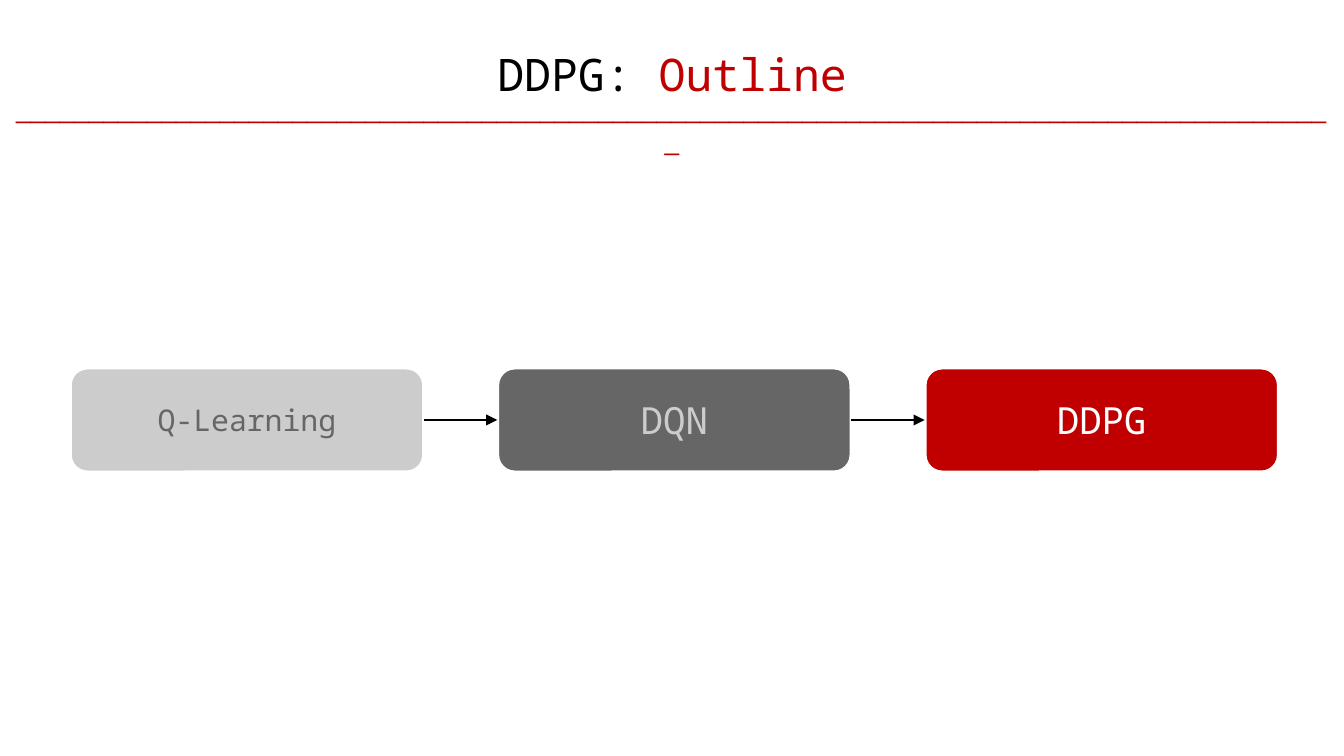
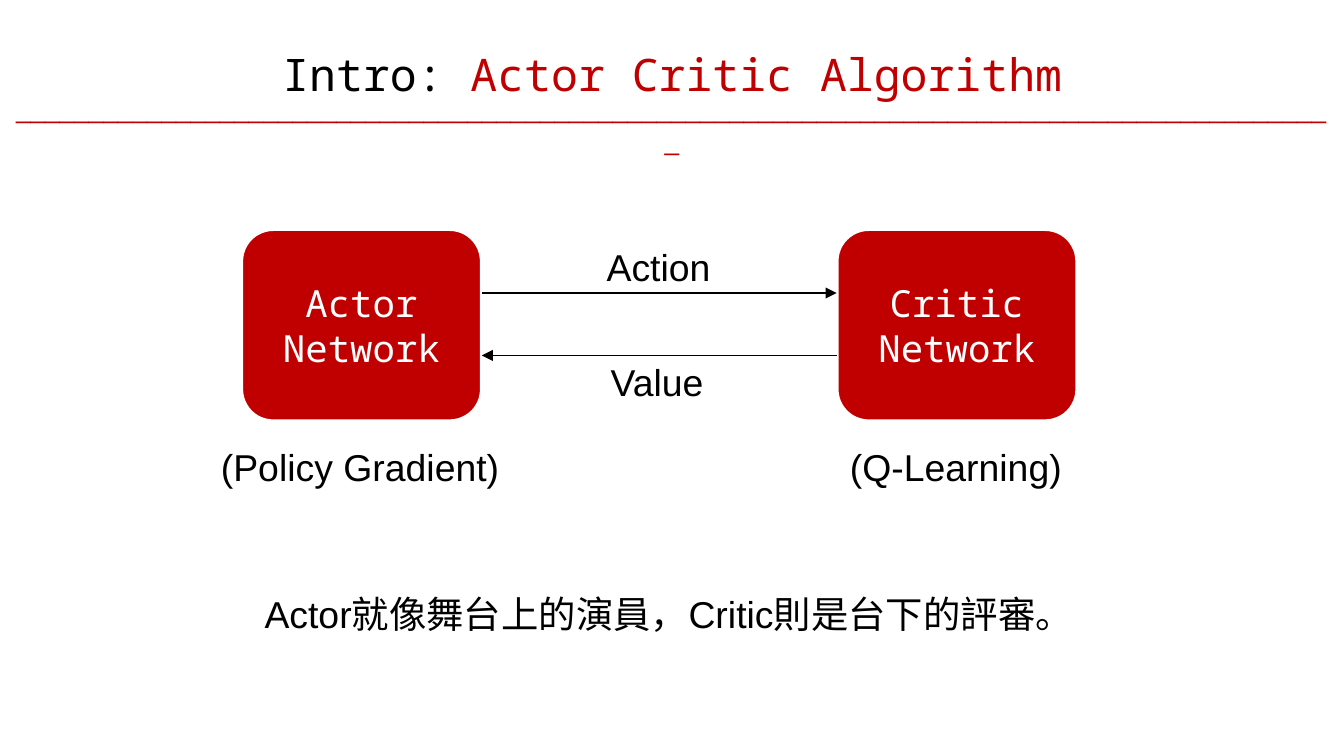
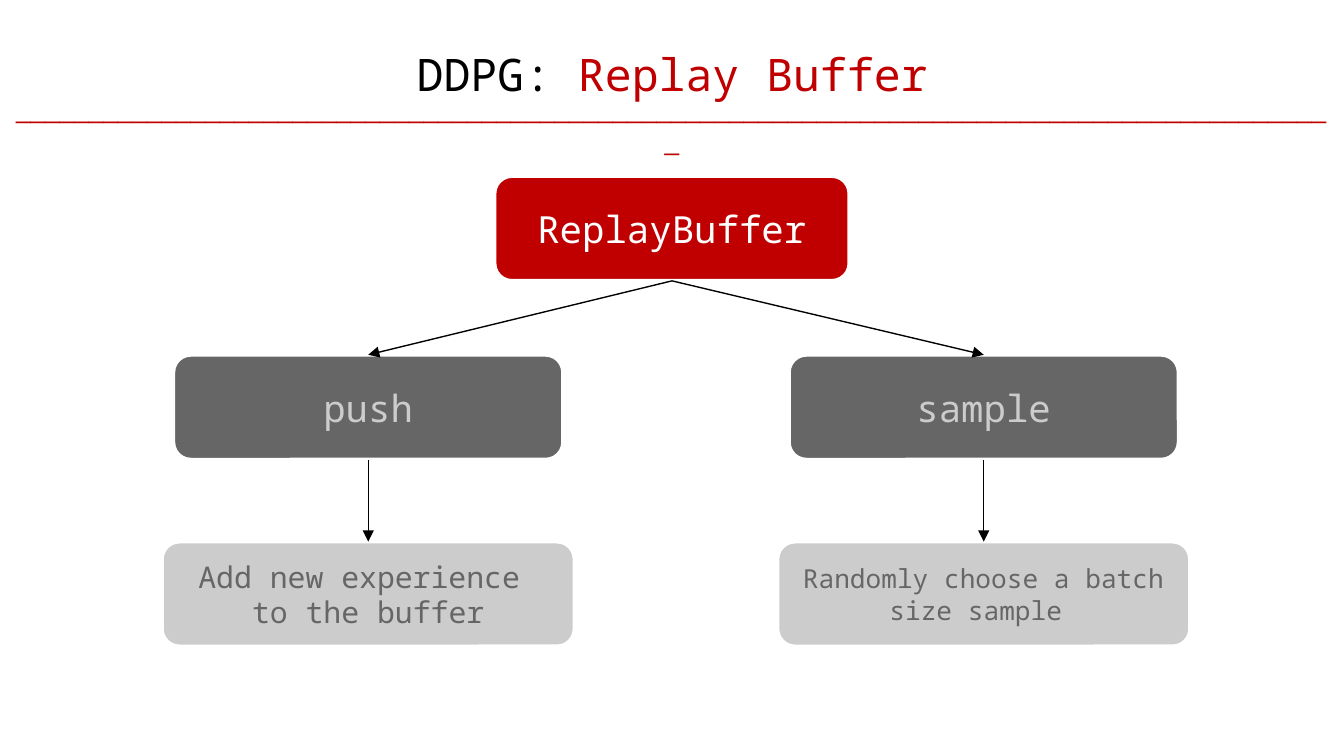
from dataclasses import dataclass
from typing import Any

from lxml.etree import SubElement
from pptx import Presentation
from pptx.dml.color import RGBColor
from pptx.enum.shapes import MSO_CONNECTOR as Connector, MSO_SHAPE as Preset
from pptx.enum.text import MSO_ANCHOR as Anchor, MSO_AUTO_SIZE as AutoSize, PP_ALIGN as Align
from pptx.oxml.ns import qn
from pptx.util import Emu, Pt

EMU_PER_PX = 4572
PAGE_WIDTH, PAGE_HEIGHT = 2000, 1125
MONO, SANS, CJK = "Noto Sans Mono", "Arial", "Noto Sans CJK SC"
COLORS = {
    "black": "000000",
    "white": "FFFFFF",
    "red": "C00000",
    "dark": "666666",
    "light": "CCCCCC",
}
TEXT_ON_FILL = {"red": "white", "dark": "light", "light": "dark"}


@dataclass(frozen=True)
class Span:
    text: str
    size: int = 20
    font: str = SANS
    color: str = "black"


@dataclass(frozen=True)
class Frame:
    left: int
    top: int
    width: int
    height: int

    @property
    def right(self) -> int:
        return self.left + self.width

    @property
    def bottom(self) -> int:
        return self.top + self.height

    @property
    def center(self) -> int:
        return self.left + self.width // 2

    @property
    def middle(self) -> int:
        return self.top + self.height // 2

    def lengths(self) -> list[Emu]:
        return [px(value) for value in (self.left, self.top, self.width, self.height)]


@dataclass(frozen=True)
class Node:
    frame: Frame
    text: str
    fill: str
    size: int = 20


def px(value: int) -> Emu:
    return Emu(value * EMU_PER_PX)


def rgb(name: str) -> RGBColor:
    return RGBColor.from_string(COLORS[name])


def apply_format(target: Any, values: dict[str, Any]) -> None:
    for name, value in values.items():
        setattr(target, name, value)


def add_spans(para: Any, spans: list[Span]) -> None:
    for span in spans:
        run = para.add_run()
        run.text = span.text
        apply_format(run.font, {"size": Pt(span.size), "name": span.font})
        run.font.color.rgb = rgb(span.color)
        if span.font == CJK:
            SubElement(run.font._element, qn("a:ea"), typeface=CJK)


def add_text(page: Any, frame: Frame, spans: list[Span],
             align: Align = Align.LEFT, wrap: bool = False) -> None:
    text_frame = page.shapes.add_textbox(*frame.lengths()).text_frame
    apply_format(text_frame, {"word_wrap": wrap, "auto_size": AutoSize.SHAPE_TO_FIT_TEXT})
    para = text_frame.paragraphs[0]
    para.alignment = align
    para._p.get_or_add_pPr().set("hangingPunct", "0")
    add_spans(para, spans)


def add_node(page: Any, node: Node) -> None:
    box = page.shapes.add_shape(Preset.ROUNDED_RECTANGLE, *node.frame.lengths())
    box.shadow.inherit = False
    box.fill.solid()
    box.fill.fore_color.rgb = rgb(node.fill)
    box.line.color.rgb = rgb("white")
    box.line.width = Pt(2)
    apply_format(box.text_frame, {"word_wrap": True, "vertical_anchor": Anchor.MIDDLE})
    for index, text in enumerate(node.text.split("\n")):
        para = box.text_frame.add_paragraph() if index else box.text_frame.paragraphs[0]
        para.alignment = Align.CENTER
        add_spans(para, [Span(text, node.size, MONO, TEXT_ON_FILL[node.fill])])


def add_arrow(page: Any, start: tuple[int, int], end: tuple[int, int]) -> None:
    arrow = page.shapes.add_connector(Connector.STRAIGHT, *map(px, start + end))
    arrow.line.color.rgb = rgb("black")
    arrow.line.width = Pt(0.75)
    SubElement(arrow.line._get_or_add_ln(), qn("a:tailEnd"), type="triangle")
    SubElement(arrow._element.spPr, qn("a:effectLst"))


def add_down_arrow(page: Any, upper: Frame, lower: Frame) -> None:
    add_arrow(page, (upper.center, upper.bottom), (lower.center, lower.top))


def add_page(deck: Any, topic: str, title: str) -> Any:
    page = deck.slides.add_slide(deck.slide_layouts[6])
    page.background.fill.solid()
    page.background.fill.fore_color.rgb = rgb("white")
    heading = [Span(f"{topic}: ", 24, MONO), Span(title, 24, MONO, "red")]
    add_text(page, Frame(8, 60, 1984, 100), heading, Align.CENTER, True)
    rule = [Span("_" * 91, 14, SANS, "red")]
    add_text(page, Frame(0, 128, PAGE_WIDTH, 67), rule, Align.CENTER, True)
    return page


def build_outline(deck: Any) -> None:
    page = add_page(deck, "DDPG", "Outline")
    stages = [("Q-Learning", "light", 16), ("DQN", "dark", 20), ("DDPG", "red", 20)]
    nodes = [Node(Frame(104 + 636 * column, 547, 527, 156), *stage)
             for column, stage in enumerate(stages)]
    for node in nodes:
        add_node(page, node)
    for before, after in zip(nodes, nodes[1:]):
        add_arrow(page, (before.frame.right, before.frame.middle),
                  (after.frame.left, after.frame.middle))


def build_actor_critic(deck: Any) -> None:
    page = add_page(deck, "Intro", "Actor Critic Algorithm")
    actor = Frame(359, 341, 358, 286)
    critic = Frame(1245, 341, 358, 286)
    add_node(page, Node(actor, "Actor Network", "red"))
    add_node(page, Node(critic, "Critic\nNetwork", "red"))
    add_arrow(page, (actor.right, 436), (critic.left, 436))
    add_arrow(page, (critic.left, 529), (actor.right, 529))
    labels = {
        "Action": Frame(883, 354, 196, 88),
        "Value": Frame(889, 525, 184, 88),
        "(Policy Gradient)": Frame(309, 651, 458, 88),
        "(Q-Learning)": Frame(1245, 651, 358, 88),
    }
    for text, frame in labels.items():
        add_text(page, frame, [Span(text)])
    analogy = [Span("Actor"), Span("就像舞台上的演員，", font=CJK),
               Span("Critic"), Span("則是台下的評審。", font=CJK)]
    add_text(page, Frame(374, 870, 1252, 88), analogy, wrap=True)


def build_replay_buffer(deck: Any) -> None:
    page = add_page(deck, "DDPG", "Replay Buffer")
    root = Node(Frame(736, 262, 528, 156), "ReplayBuffer", "red")
    add_node(page, root)
    branches = [
        ("push", "Add new experience \nto the buffer", 16),
        ("sample", "Randomly choose a batch size sample ", 14),
    ]
    for column, (name, purpose, size) in enumerate(branches):
        shift = 916 * column
        method = Node(Frame(258 + shift, 528, 580, 156), name, "dark")
        detail = Node(Frame(241 + shift, 806, 614, 156), purpose, "light", size)
        add_node(page, method)
        add_node(page, detail)
        add_down_arrow(page, root.frame, method.frame)
        add_down_arrow(page, method.frame, detail.frame)


def main() -> None:
    deck = Presentation()
    apply_format(deck, {"slide_width": px(PAGE_WIDTH), "slide_height": px(PAGE_HEIGHT)})
    build_outline(deck)
    build_actor_critic(deck)
    build_replay_buffer(deck)
    deck.save("out.pptx")


if __name__ == "__main__":
    main()
